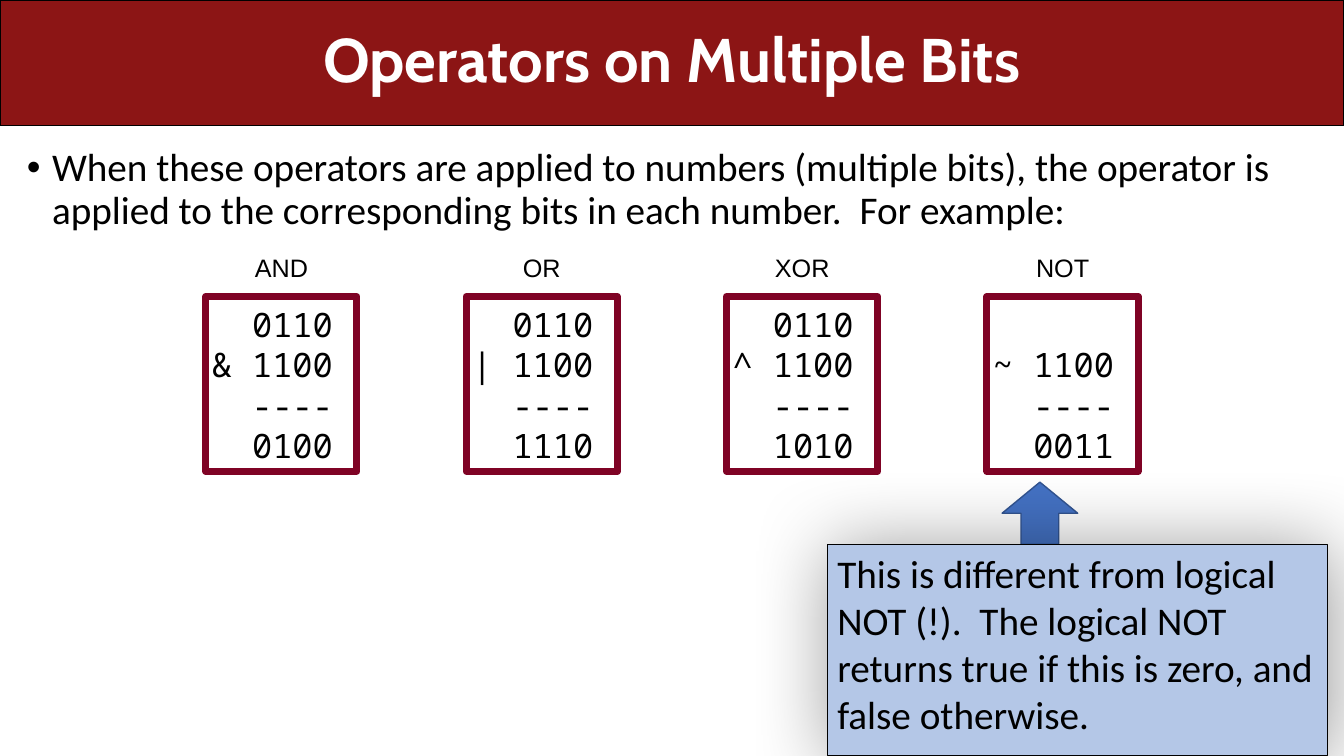
from pptx import Presentation
from pptx.dml.color import RGBColor as RGB
from pptx.enum.shapes import MSO_SHAPE as Shape
from pptx.enum.text import MSO_ANCHOR as Anchor, MSO_AUTO_SIZE as Fit, PP_ALIGN as Align
from pptx.oxml import parse_xml
from pptx.oxml.ns import nsdecls
from pptx.util import Inches, Pt

HEX = {"band": "8C1515", "white": "FFFFFF", "black": "000000", "frame": "7F0325",
       "arrow": "4472C4", "edge": "325491", "note": "B4C7E7"}
CELL = Inches(1 / 12)  # the slide is a grid of 160 columns by 90 rows


def draw(kind, col, row, wide, high, fill, line, width):
    part = slide.shapes.add_shape(kind, *[int(n * CELL) for n in (col, row, wide, high)])
    part.shadow.inherit = False
    if fill:
        part.fill.solid()
        part.fill.fore_color.rgb = RGB.from_string(HEX[fill])
    else:
        part.fill.background()
    part.line.color.rgb = RGB.from_string(HEX[line])
    part.line.width = Pt(width)
    return part


def write(frame, lines, face, size, align=Align.LEFT, color="black", bold=False):
    frame.text = "\n".join(lines)
    for para in frame.paragraphs:
        para.alignment = align
        for run in para.runs:
            run.font.name, run.font.size, run.font.bold = face, Pt(size), bold
            run.font.color.rgb = RGB.from_string(HEX[color])


deck = Presentation()
deck.slide_width, deck.slide_height = 160 * CELL, 90 * CELL
slide = deck.slides.add_slide(deck.slide_layouts[1])
title, body = slide.placeholders

# Title band, behind the placeholders
band = draw(Shape.RECTANGLE, 0, 0, 160, 15, "band", "black", 0.75)
slide.shapes._spTree.insert(2, band._element)

# Title
title.left, title.top, title.width, title.height = 6 * CELL, 0, 148 * CELL, 15 * CELL
write(title.text_frame, ["Operators on Multiple Bits"], "Cabin", 44, Align.CENTER, "white", True)
title.text_frame.vertical_anchor = Anchor.MIDDLE
title.text_frame.auto_size = Fit.NONE
title.text_frame.paragraphs[0].line_spacing = 0.9

# Opening bullet
body.left, body.top, body.width, body.height = 2 * CELL, 17 * CELL, 155 * CELL, 68 * CELL
body.text_frame.auto_size = Fit.NONE
body.text_frame.text = ("When these operators are applied to numbers (multiple bits), the operator is "
                        "applied to the corresponding bits in each number.  For example:")
point = body.text_frame.paragraphs[0]
props = point._p.get_or_add_pPr()
props.set("marL", str(3 * CELL))
props.set("indent", str(-3 * CELL))
props.append(parse_xml(f'<a:buFont {nsdecls("a")} typeface="Arial"/>'))
props.append(parse_xml(f'<a:buChar {nsdecls("a")} char="•"/>'))
point.line_spacing, point.space_before = 0.9, Pt(0)
font = point.runs[0].font
font.name, font.size = "Calibri", Pt(28)
font.color.rgb = RGB.from_string(HEX["black"])

# One worked sum per operator
sums = [("AND", ["  0110", "& 1100", "  ----", "  0100"]),
        ("OR", ["  0110", "| 1100", "  ----", "  1110"]),
        ("XOR", ["  0110", "^ 1100", "  ----", "  1010"]),
        ("NOT", ["~ 1100", "  ----", "  0011"])]
for i, (name, lines) in enumerate(sums):
    col = 24.5 + 31 * i
    box = draw(Shape.RECTANGLE, col, 35.3, 18, 20.8, None, "frame", 5)
    frame = box.text_frame
    frame.margin_left = frame.margin_right = frame.margin_top = frame.margin_bottom = Inches(0.06)
    frame.vertical_anchor = Anchor.BOTTOM
    write(frame, lines, "Noto Sans Mono", 24)
    label = slide.shapes.add_textbox(int((col + 4) * CELL), int(29.4 * CELL), 10 * CELL, int(4.8 * CELL))
    label.text_frame.word_wrap = True
    write(label.text_frame, [name], "Arial", 18, Align.CENTER)

# Arrow and note on logical NOT
draw(Shape.UP_ARROW, 119.3, 57.4, 9, 7.4, "arrow", "edge", 1)
note = draw(Shape.RECTANGLE, 98.5, 64.8, 59.5, 25.2, "note", "black", 0.75)
note.text_frame.vertical_anchor = Anchor.TOP
write(note.text_frame, ["This is different from logical NOT (!).  The logical NOT returns true "
                        "if this is zero, and false otherwise."], "Calibri", 28)
glow = note._element.spPr.find("{*}effectLst")
glow.append(parse_xml(
    f'<a:outerShdw {nsdecls("a")} blurRad="{Pt(58)}" dist="{Pt(3)}" dir="2700000" rotWithShape="0">'
    f'<a:srgbClr val="{HEX["black"]}"><a:alpha val="40000"/></a:srgbClr></a:outerShdw>'))

deck.save("out.pptx")
